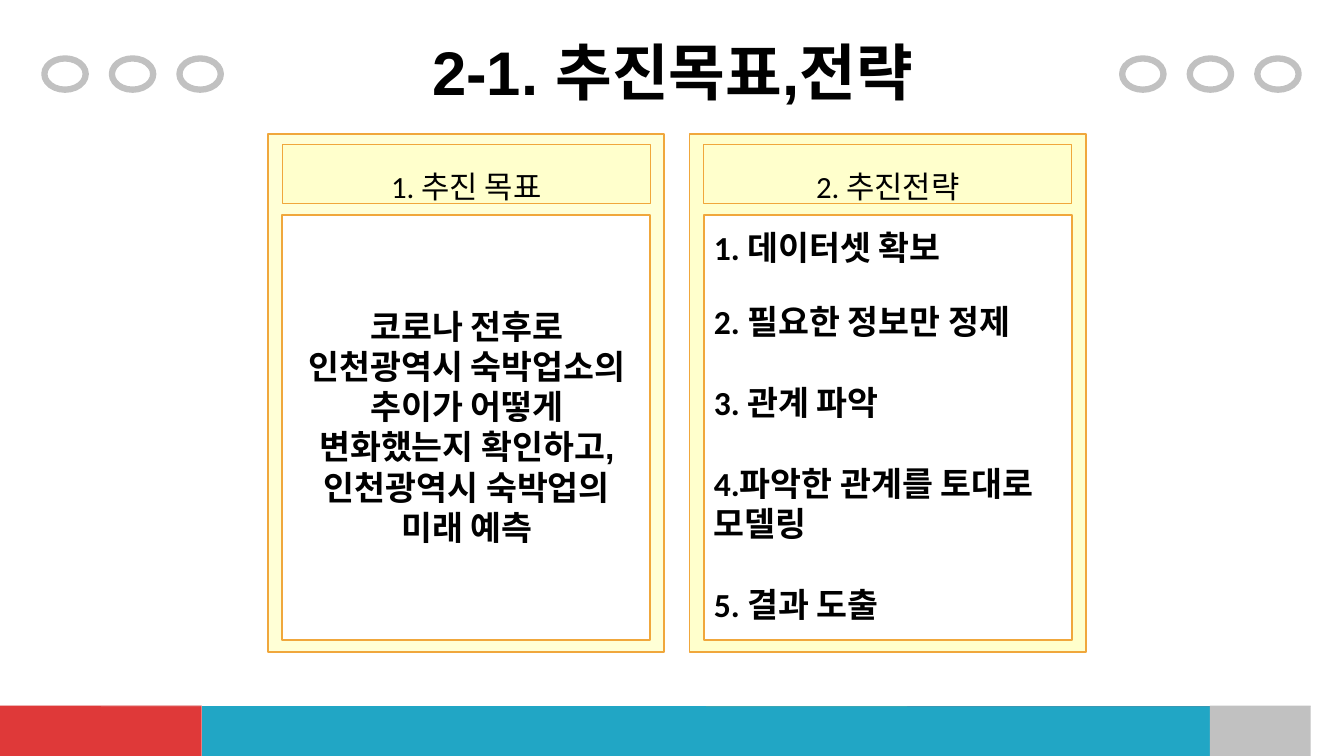
from lxml import etree
from pptx import Presentation
from pptx import util as u
from pptx.dml.color import RGBColor
from pptx.enum import shapes, text
from pptx.oxml.ns import qn

TITLE = "2-1. 추진목표,전략"
LABELS = ["1. 추진 목표", "2. 추진전략"]
GOAL = ["코로나 전후로 인천광역시 숙박업소의 추이가 어떻게 변화했는지 확인하고, 인천광역시 숙박업의 미래 예측"]
STRATEGY = ["1. 데이터셋 확보", "2. 필요한 정보만 정제", "3. 관계 파악",
            "4.파악한 관계를 토대로 모델링", "5. 결과 도출"]

THEME = {
    "gray": "C1C1C1", "light": "DADADA", "red": "DF3939", "blue": "21A6C5",
    "orange": "F0A73C", "cream": "FFFFCC", "white": "FFFFFF", "black": "000000",
    "title": 44, "label": 22, "body": 24, "latin": "Calibri", "heading": "Arial",
}

# Footer ribbons: colour and corner points in inches
RIBBONS = [
    ("gray", [(0, 6.81), (1.79, 6.84), (1.99, 6.97), (0.76, 6.97), (0.74, 7.04), (0, 7.04)]),
    ("red", [(0, 7.08), (0.73, 7.08), (0.68, 7.19), (1.5, 7.19), (1.59, 7.5), (0, 7.5)]),
    ("light", [(0.8, 6.99), (7.35, 7), (7.25, 7.13), (0.73, 7.16)]),
    ("blue", [(1.54, 7.2), (11.95, 7.16), (11.84, 7.5), (1.62, 7.5)]),
    ("orange", [(7.44, 6.92), (8.97, 6.95), (9.01, 7.13), (7.3, 7.14)]),
    ("red", [(8.99, 6.95), (12.59, 6.96), (12.2, 7.11), (9.06, 7.13)]),
    ("blue", [(12.67, 6.96), (13.14, 6.96), (12.72, 7.12), (12.27, 7.12)]),
    ("gray", [(12.01, 7.15), (12.74, 7.16), (13.24, 6.96), (13.33, 6.96), (13.33, 7.5), (11.9, 7.5)]),
]

RING_STARTS, RING_PITCH, RING_COUNT = (0.44, 11.13), 0.67, 3
COLUMN_LEFT, COLUMN_PITCH, COLUMN_WIDTH = 2.66, 4.18, 3.93
INSET = 0.14


def color(name):
    """Return a theme colour."""
    return RGBColor.from_string(THEME[name])


def style(shape, fill=None, line=None, weight=1.25, alpha=None):
    """Set fill, outline and transparency, and drop the shadow."""
    shape.shadow.inherit = False
    if fill:
        shape.fill.solid()
        shape.fill.fore_color.rgb = color(fill)
        if alpha:
            clr = shape.element.spPr.find(".//" + qn("a:srgbClr"))
            etree.SubElement(clr, qn("a:alpha")).set("val", str(alpha * 1000))
    else:
        shape.fill.background()
    if line:
        shape.line.color.rgb = color(line)
        shape.line.width = u.Pt(weight)
    else:
        shape.line.fill.background()
    return shape


def place(shape, left, top, width, height):
    """Move a placeholder and bring it to the front."""
    shape.left, shape.top, shape.width, shape.height = map(u.Inches, (left, top, width, height))
    shape.element.getparent().append(shape.element)


def add_preset(page, kind, left, top, width, height, **look):
    """Add a styled preset shape, measured in inches."""
    area = map(u.Inches, (left, top, width, height))
    return style(page.shapes.add_shape(kind, *area), **look)


def write(shape, lines, size, font="latin", bold=False, align="CENTER",
          anchor="TOP", spacing=1.0, gaps=()):
    """Fill a shape with unbulleted paragraphs; gaps are points between them."""
    frame = shape.text_frame
    frame.word_wrap = True
    frame.auto_size = text.MSO_AUTO_SIZE.NONE
    frame.vertical_anchor = text.MSO_ANCHOR[anchor]
    for i, line in enumerate(lines):
        para = frame.paragraphs[0] if i == 0 else frame.add_paragraph()
        para.alignment = text.PP_ALIGN[align]
        para.line_spacing = spacing
        para.space_before = u.Pt(gaps[i - 1] if i and gaps else 0)
        props = para._p.get_or_add_pPr()
        props.set("marL", "0")
        props.set("indent", "0")
        etree.SubElement(props, qn("a:buNone"))
        span = para.add_run()
        span.text = line
        span.font.size = u.Pt(THEME[size])
        span.font.name = THEME[font]
        span.font.bold = bold
        span.font.color.rgb = color("black")


def add_decoration(page):
    """Draw the footer ribbons and the rings beside the title."""
    for fill, points in RIBBONS:
        builder = page.shapes.build_freeform(*points[0], scale=u.Inches(1))
        builder.add_line_segments(points[1:], close=True)
        style(builder.convert_to_shape(), fill=fill)
    for start in RING_STARTS:
        for i in range(RING_COUNT):
            add_preset(page, shapes.MSO_SHAPE.OVAL, start + i * RING_PITCH, 0.58,
                       0.41, 0.31, line="gray", weight=4.5)


def add_column(page, index, label):
    """Draw one framed column with its label and white panel."""
    rect = shapes.MSO_SHAPE.RECTANGLE
    left = COLUMN_LEFT + index * COLUMN_PITCH
    inner, width = left + INSET, COLUMN_WIDTH - 2 * INSET
    add_preset(page, rect, left, 1.33, COLUMN_WIDTH, 5.14, fill="cream",
               line="orange", alpha=None if index else 79)
    header = add_preset(page, rect, inner, 1.43, width, 0.59, fill="cream",
                        line="orange", weight=0.75)
    write(header, [label], "label", spacing=1.5)
    add_preset(page, rect, inner, 2.13, width, 4.22, fill="white", line="orange")


deck = Presentation()
deck.slide_width, deck.slide_height = u.Inches(13.33), u.Inches(7.5)
page = deck.slides.add_slide(deck.slide_layouts.get_by_name("Two Content"))
title, goal, strategy = list(page.placeholders)[:3]

add_decoration(page)
place(title, 2.19, 0.08, 8.96, 1.25)
write(title, [TITLE], "title", font="heading", bold=True, anchor="MIDDLE")
for index, label in enumerate(LABELS):
    add_column(page, index, label)
place(goal, 2.91, 2.98, 3.44, 2.52)
write(goal, GOAL, "body", font="heading", bold=True)
place(strategy, 6.98, 2.2, 3.55, 4.07)
write(strategy, STRATEGY, "body", bold=True, align="LEFT", gaps=(24, 29, 29, 29))

deck.save("out.pptx")
